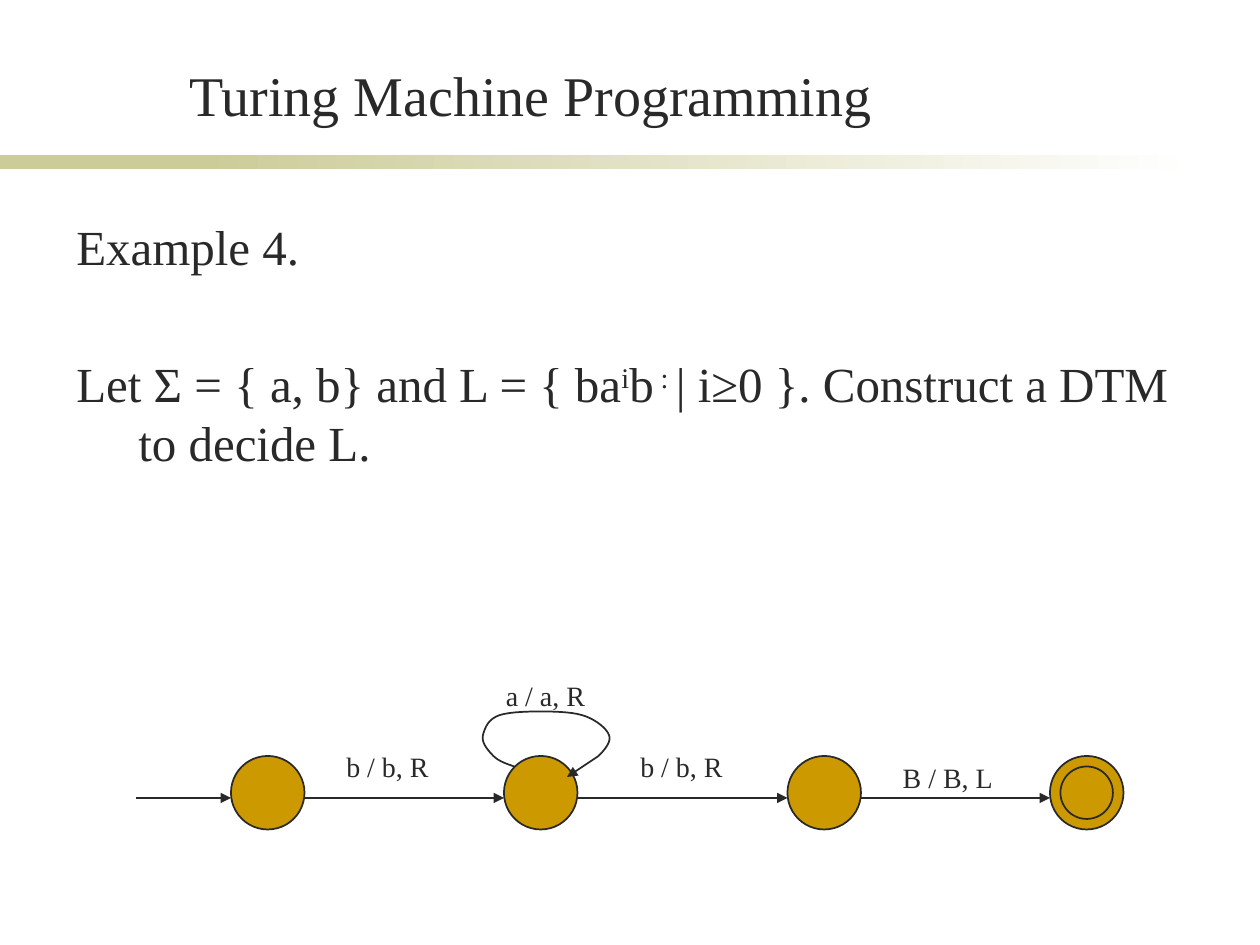
import pptx
import pptx.util
import pptx.dml.color
import pptx.enum.shapes
import pptx.enum.text
import lxml.etree

COLORS = {"ink": "292929", "state": "CC9900", "band": "CCCC99", "paper": "FFFFFF"}
FONT = "Times New Roman"
RECTANGLE = pptx.enum.shapes.MSO_SHAPE.RECTANGLE
OVAL = pptx.enum.shapes.MSO_SHAPE.OVAL
STRAIGHT = pptx.enum.shapes.MSO_CONNECTOR.STRAIGHT
ALIGN = pptx.enum.text.PP_ALIGN
ANCHOR = pptx.enum.text.MSO_ANCHOR

deck = pptx.Presentation()
deck.slide_width = pptx.util.Inches(10)
deck.slide_height = pptx.util.Inches(7.5)
slide = deck.slides.add_slide(deck.slide_layouts[6])
CELL = deck.slide_width / 120


def cells(*counts):
    return [round(count * CELL) for count in counts]


def write(text, box, size, wrap=True, align=ALIGN.LEFT, anchor=ANCHOR.TOP, hanging=0, gap=0):
    area = slide.shapes.add_textbox(*cells(*box))
    frame = area.text_frame
    frame.word_wrap = wrap
    frame.vertical_anchor = anchor
    for number, line in enumerate(text.split("\n")):
        paragraph = frame.paragraphs[0] if number == 0 else frame.add_paragraph()
        paragraph.alignment = align
        if hanging:
            properties = paragraph._p.get_or_add_pPr()
            properties.set("marL", str(cells(hanging)[0]))
            properties.set("indent", str(-cells(hanging)[0]))
        if number:
            paragraph.space_before = pptx.util.Pt(gap)
        for part, piece in enumerate(line.split("^")):
            run = paragraph.add_run()
            run.text = piece
            run.font.name = FONT
            run.font.size = pptx.util.Pt(size)
            run.font.color.rgb = pptx.dml.color.RGBColor.from_string(COLORS["ink"])
            if part % 2:
                run._r.get_or_add_rPr().set("baseline", "30000")


ink = pptx.dml.color.RGBColor.from_string(COLORS["ink"])

for left, width, end in [(0, 28, "band"), (19, 95, "paper")]:
    band = slide.shapes.add_shape(RECTANGLE, *cells(left, 14.8, width, 1.3))
    band.shadow.inherit = False
    band.line.fill.background()
    band.fill.gradient()
    band.fill.gradient_angle = 0
    for stop, name in zip(band.fill.gradient_stops, ("band", end)):
        stop.color.rgb = pptx.dml.color.RGBColor.from_string(COLORS[name])

write("Turing Machine Programming", (13.7, 5.3, 73.7, 7.5), 32,
      align=ALIGN.CENTER, anchor=ANCHOR.BOTTOM)
write("Example 4.\nLet Σ = { a, b} and L = { ba^i^b^ : ^| i≥0 }. Construct a DTM to decide L.",
      (6.1, 20, 106.8, 57), 28, hanging=5.9, gap=45)

state_size = 7
state_top = 72
tape_row = 76
state_lefts = [22, 48, 75, 100]
circles = [(left, state_top, state_size) for left in state_lefts]
circles.append((state_lefts[-1] + 1, state_top + 1, state_size - 2))
for left, top, size in circles:
    state = slide.shapes.add_shape(OVAL, *cells(left, top, size, size))
    state.shadow.inherit = False
    state.fill.solid()
    state.fill.fore_color.rgb = pptx.dml.color.RGBColor.from_string(COLORS["state"])
    state.line.color.rgb = ink
    state.line.width = pptx.util.Pt(1)

starts = [13] + [left + state_size for left in state_lefts[:-1]]
transitions = [(start, tape_row, end, tape_row) for start, end in zip(starts, state_lefts)]
transitions.append((57, 72, 54, 74))
for ends in transitions:
    arrow = slide.shapes.add_connector(STRAIGHT, *cells(*ends))
    arrow.line.color.rgb = ink
    arrow.line.width = pptx.util.Pt(1)
    lxml.etree.SubElement(arrow.line._get_or_add_ln(), pptx.oxml.ns.qn("a:tailEnd"), type="triangle")
    lxml.etree.SubElement(arrow._element.spPr, pptx.oxml.ns.qn("a:effectLst"))

loop_start = (49, 73)
loop_curves = [
    [(48.25, 72.75), (47.5, 72.5), (47, 72)],
    [(46.5, 71.5), (45.8, 70.7), (46, 70)],
    [(46.2, 69.3), (46.5, 68.3), (48, 68)],
    [(49.5, 67.67), (53.5, 67.67), (55, 68)],
    [(56.5, 68.3), (57.75, 69.3), (58, 70)],
    [(58.3, 70.7), (57.4, 71.6), (57, 72)],
]
steps = 10
loop_points = []
corner = loop_start
for first, second, last in loop_curves:
    for step in range(1, steps + 1):
        t = step / steps
        weights = ((1 - t) ** 3, 3 * t * (1 - t) ** 2, 3 * t * t * (1 - t), t ** 3)
        knots = (corner, first, second, last)
        loop_points.append(cells(*[sum(w * knot[axis] for w, knot in zip(weights, knots))
                                   for axis in (0, 1)]))
    corner = last
outline = slide.shapes.build_freeform(*cells(*loop_start))
outline.add_line_segments(loop_points, close=False)
loop = outline.convert_to_shape()
loop.shadow.inherit = False
loop.fill.background()
loop.line.color.rgb = ink
loop.line.width = pptx.util.Pt(1)

for label, left, top, width in [
    ("b / b, R", 31.8, 70.8, 10.3),
    ("b / b, R", 59.8, 70.8, 10.3),
    ("B / B, L", 84.8, 71.8, 11),
    ("a / a, R", 47, 64, 10),
]:
    write(label, (left, top, width, 4.4), 16, wrap=False)

deck.save("out.pptx")
